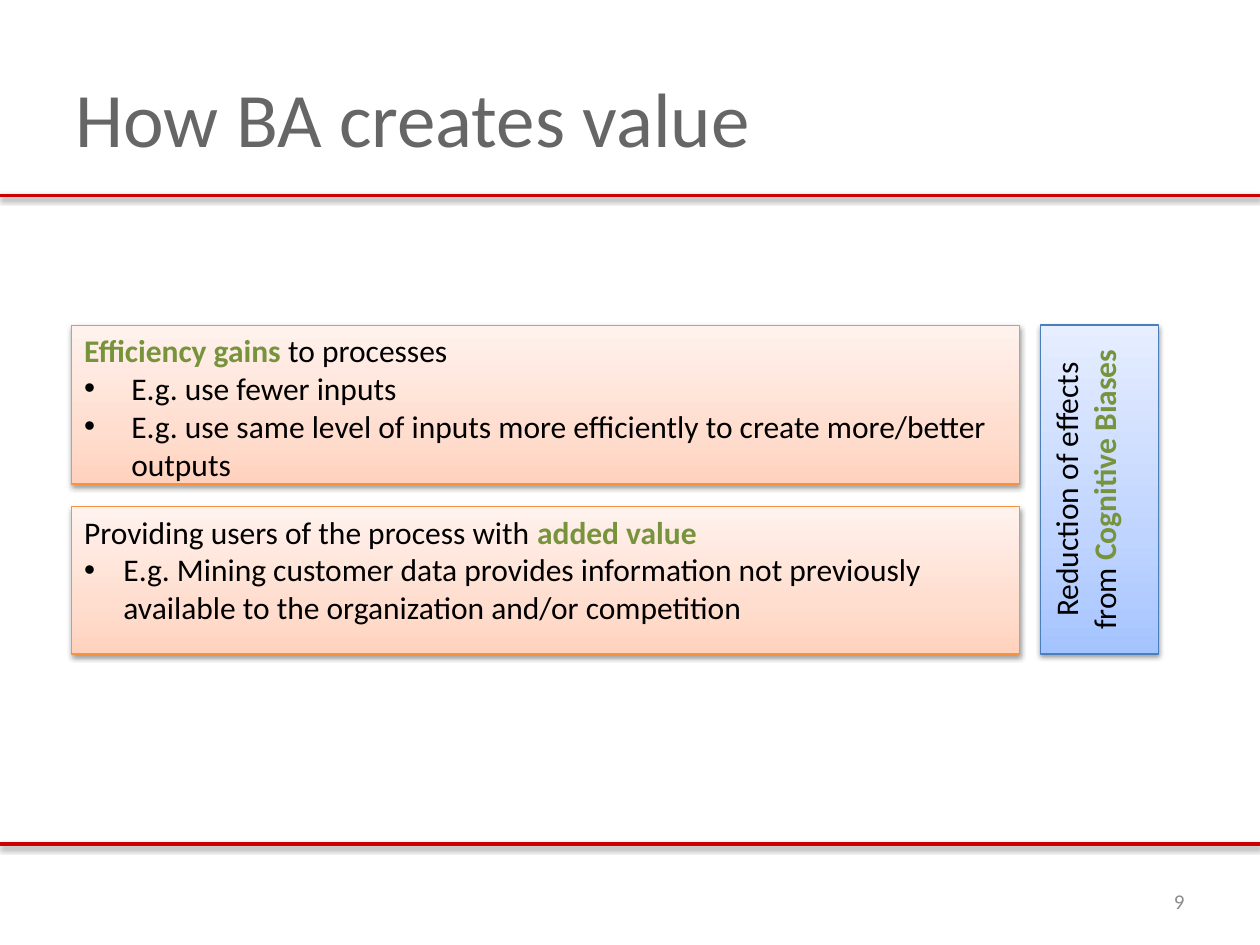
from pptx import Presentation
from pptx.dml.color import RGBColor
from pptx.enum.shapes import MSO_CONNECTOR, MSO_SHAPE
from pptx.enum.text import MSO_ANCHOR, PP_ALIGN
from pptx.oxml import parse_xml
from pptx.oxml.ns import nsdecls, qn
from pptx.util import Pt
from lxml import etree
from copy import deepcopy

PROCESS = MSO_SHAPE.FLOWCHART_PROCESS
STRAIGHT = MSO_CONNECTOR.STRAIGHT
TOP, MIDDLE = MSO_ANCHOR.TOP, MSO_ANCHOR.MIDDLE
LEFT, CENTER, RIGHT = PP_ALIGN.LEFT, PP_ALIGN.CENTER, PP_ALIGN.RIGHT

FONT = "Calibri"
WIDTH, HEIGHT = 720, 540
COLORS = {
    "rule": "CC0000",
    "title": "666666",
    "number": "8C8C8C",
    "text": "000000",
    "accent": "77933C",
    "orange_line": "F69240",
    "blue_line": "4B7EBC",
}
GRADIENTS = {
    "orange": ("FFD2BD", "FFDED0", "FFF2ED"),
    "blue": ("A4C4FF", "BFD4FF", "E6EEFF"),
}
STOP_POSITIONS = (0, 0.35, 1)


def rgb(name):
    return RGBColor.from_string(COLORS[name])


def add_shadow(shape):
    """Give the shape a soft shadow just below it."""
    properties = shape._element.spPr
    effects = properties.find(qn("a:effectLst"))
    if effects is None:
        effects = etree.SubElement(properties, qn("a:effectLst"))
    effects.append(parse_xml(
        f'<a:outerShdw {nsdecls("a")} blurRad="{Pt(3.1)}" dist="{Pt(1.6)}" '
        'dir="5400000" rotWithShape="0"><a:srgbClr val="000000">'
        '<a:alpha val="38000"/></a:srgbClr></a:outerShdw>'))


def add_rule(slide, y):
    rule = slide.shapes.add_connector(STRAIGHT, 0, Pt(y), Pt(WIDTH), Pt(y))
    rule.line.color.rgb = rgb("rule")
    rule.line.width = Pt(2)
    add_shadow(rule)


def add_run(paragraph, text, size, color, bold=False):
    run = paragraph.add_run()
    run.text = text
    run.font.name = FONT
    run.font.size = Pt(size)
    run.font.bold = bold
    run.font.color.rgb = rgb(color)


def add_label(slide, box, text, size, color, alignment=LEFT):
    label = slide.shapes.add_textbox(*map(Pt, box))
    frame = label.text_frame
    frame.word_wrap = True
    frame.vertical_anchor = MIDDLE
    paragraph = frame.paragraphs[0]
    paragraph.alignment = alignment
    add_run(paragraph, text, size, color)


def fill_gradient(shape, colors):
    """Blend the colours from the bottom edge to the top edge."""
    fill = shape.fill
    fill.gradient()
    fill.gradient_angle = 90
    last_stop = shape._element.spPr.findall(f'.//{qn("a:gs")}')[-1]
    last_stop.addnext(deepcopy(last_stop))
    for stop, position, color in zip(fill.gradient_stops, STOP_POSITIONS, colors):
        stop.position = position
        stop.color.rgb = RGBColor.from_string(color)


def add_panel(slide, box, hue, runs, alignment=LEFT):
    """Add a box whose first paragraph is made of (text, is_accent) runs."""
    panel = slide.shapes.add_shape(PROCESS, *map(Pt, box))
    fill_gradient(panel, GRADIENTS[hue])
    panel.line.color.rgb = rgb(f"{hue}_line")
    panel.line.width = Pt(0.75)
    panel.shadow.inherit = False
    add_shadow(panel)
    frame = panel.text_frame
    frame.word_wrap = True
    frame.vertical_anchor = TOP
    paragraph = frame.paragraphs[0]
    paragraph.alignment = alignment
    for text, is_accent in runs:
        add_run(paragraph, text, 18, "accent" if is_accent else "text", is_accent)
    return panel


def add_bullets(panel, items, indent):
    for item in items:
        paragraph = panel.text_frame.add_paragraph()
        paragraph.alignment = LEFT
        properties = paragraph._p.get_or_add_pPr()
        properties.set("marL", str(Pt(indent)))
        properties.set("indent", str(-Pt(indent)))
        etree.SubElement(properties, qn("a:buFont")).set("typeface", "Arial")
        etree.SubElement(properties, qn("a:buChar")).set("char", "•")
        add_run(paragraph, item, 18, "text")


def main():
    presentation = Presentation()
    presentation.slide_width, presentation.slide_height = Pt(WIDTH), Pt(HEIGHT)
    slide = presentation.slides.add_slide(presentation.slide_layouts[6])

    # Frame: rules, title and page number
    for y in (482.4, 111.6):
        add_rule(slide, y)
    add_label(slide, (36, 21.6, 648, 90), "How BA creates value", 44, "title")
    add_label(slide, (516, 500.4, 168, 28.8), "9", 12, "number", RIGHT)

    # Efficiency gains
    efficiency = add_panel(
        slide, (41, 185.8, 541.6, 90.8), "orange",
        [("Efficiency gains ", True), ("to processes", False)])
    add_bullets(efficiency, [
        "E.g. use fewer inputs",
        "E.g. use same level of inputs more efficiently to create "
        "more/better outputs",
    ], 27)

    # Cognitive biases, read from bottom to top
    biases = add_panel(
        slide, (594.6, 185.8, 67.2, 188), "blue",
        [("Reduction of effects from ", False), ("Cognitive Biases", True)],
        CENTER)
    biases.text_frame._txBody.bodyPr.set("vert", "vert270")

    # Added value
    added_value = add_panel(
        slide, (41, 289.4, 541.6, 84.4), "orange",
        [("Providing users of the process with ", False), ("added value", True)])
    add_bullets(added_value, [
        "E.g. Mining customer data provides information not previously "
        "available to the organization and/or competition",
    ], 22.5)

    presentation.save("out.pptx")


if __name__ == "__main__":
    main()
